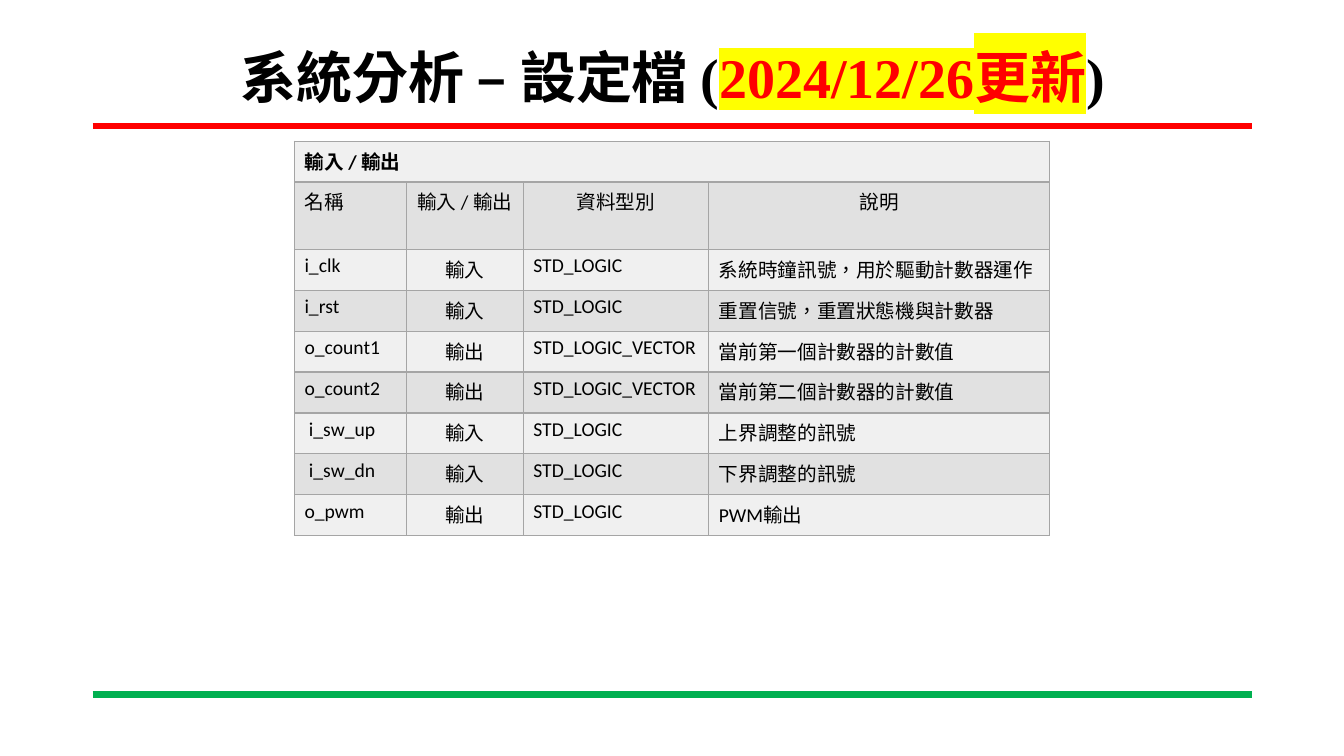
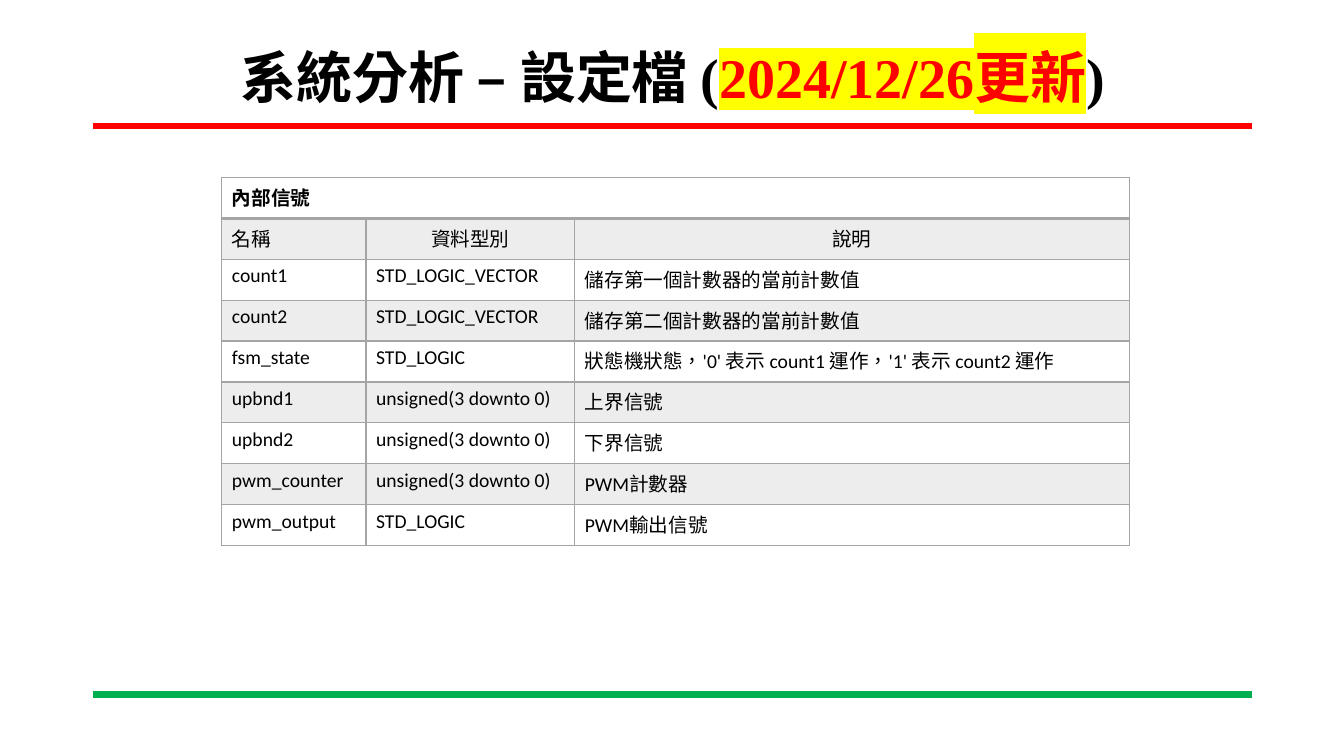
from lxml.etree import SubElement
from pptx import Presentation
from pptx.dml.color import RGBColor
from pptx.enum.lang import MSO_LANGUAGE_ID
from pptx.enum.shapes import MSO_CONNECTOR
from pptx.enum.text import MSO_ANCHOR, MSO_AUTO_SIZE, PP_ALIGN
from pptx.oxml.ns import qn
from pptx.util import Inches, Pt

COLORS = {
    "text": "000000",
    "update": "FF0000",
    "highlight": "FFFF00",
    "top_rule": "FF0000",
    "bottom_rule": "00B050",
    "border": "A5A5A5",
    "light": "F0F0F0",
    "dark": "E1E1E1",
    "pale": "EDEDED",
}
TITLE_FONT, TABLE_FONT = "Times New Roman", "Calibri"
MARGIN, CONTENT_WIDTH = 0.92, 11.5
ROW_HEIGHT = 0.406

# text, colour, highlight
TITLE = [
    ("系統分析 – 設定檔 (", "text", None),
    ("2024/12/26更新", "update", "highlight"),
    (")", "text", None),
]
RULES = [(1.25, "top_rule"), (6.89, "bottom_rule")]

# "bands" holds the fills of even and odd rows; None leaves a row unfilled
TABLES = [
    {
        "left": 2.92, "top": 1.4, "widths": [1.11, 1.16, 1.84, 3.38],
        "bands": ("light", "dark"), "caption_rule": 1, "centered": {1},
        "caption": "輸入 / 輸出",
        "rows": [
            ("名稱", "輸入 / 輸出", "資料型別", "說明"),
            ("i_clk", "輸入", "STD_LOGIC", "系統時鐘訊號，用於驅動計數器運作"),
            ("i_rst", "輸入", "STD_LOGIC", "重置信號，重置狀態機與計數器"),
            ("o_count1", "輸出", "STD_LOGIC_VECTOR", "當前第一個計數器的計數值"),
            ("o_count2", "輸出", "STD_LOGIC_VECTOR", "當前第二個計數器的計數值"),
            (" i_sw_up", "輸入", "STD_LOGIC", "上界調整的訊號"),
            (" i_sw_dn", "輸入", "STD_LOGIC", "下界調整的訊號"),
            ("o_pwm", "輸出", "STD_LOGIC", "PWM輸出"),
        ],
    },
    {
        "left": 2.2, "top": 1.76, "widths": [1.43, 2.07, 5.5],
        "bands": (None, "pale"), "caption_rule": 2, "centered": set(),
        "caption": "內部信號",
        "rows": [
            ("名稱", "資料型別", "說明"),
            ("count1", "STD_LOGIC_VECTOR", "儲存第一個計數器的當前計數值"),
            ("count2", "STD_LOGIC_VECTOR", "儲存第二個計數器的當前計數值"),
            ("fsm_state", "STD_LOGIC",
             "狀態機狀態，'0' 表示 count1 運作，'1' 表示 count2 運作"),
            ("upbnd1", "unsigned(3 downto 0)", "上界信號"),
            ("upbnd2", "unsigned(3 downto 0)", "下界信號"),
            ("pwm_counter", "unsigned(3 downto 0)", "PWM計數器"),
            ("pwm_output", "STD_LOGIC", "PWM輸出信號"),
        ],
    },
]


def rgb(name):
    return RGBColor.from_string(COLORS[name])


def add_span(para, text, font, size, color="text", bold=False):
    span = para.add_run()
    span.text = text
    span.font.size, span.font.bold = Pt(size), bold
    span.font.color.rgb = rgb(color)
    span.font.name = font
    span.font.language_id = MSO_LANGUAGE_ID.TRADITIONAL_CHINESE
    return span


def highlight_span(span, color):
    properties = span._r.get_or_add_rPr()
    mark = SubElement(properties, qn("a:highlight"))
    SubElement(mark, qn("a:srgbClr"), val=COLORS[color])
    properties.find(qn("a:latin")).addprevious(mark)


def set_up_layout(layout, slide):
    """Place the title and move the two rules, drawn on the slide, to its layout."""
    title = layout.placeholders[0]
    title.left, title.top = Inches(MARGIN), Inches(0.4)
    title.width, title.height = Inches(CONTENT_WIDTH), Inches(0.79)
    for top, color in RULES:
        rule = slide.shapes.add_connector(
            MSO_CONNECTOR.STRAIGHT, Inches(MARGIN), Inches(top),
            Inches(MARGIN + CONTENT_WIDTH), Inches(top))
        rule.line.color.rgb, rule.line.width = rgb(color), Pt(4.5)
        SubElement(rule.element.spPr, qn("a:effectLst"))
        layout.shapes.element.append(rule.element)


def fill_title(slide):
    frame = slide.shapes.title.text_frame
    frame.vertical_anchor = MSO_ANCHOR.MIDDLE
    frame.word_wrap, frame.auto_size = True, MSO_AUTO_SIZE.NONE
    para = frame.paragraphs[0]
    para.alignment, para.line_spacing = PP_ALIGN.CENTER, 0.9
    for text, color, highlight in TITLE:
        span = add_span(para, text, TITLE_FONT, 40, color, True)
        if highlight:
            highlight_span(span, highlight)


def style_cell(cell, band, bottom, top):
    properties = cell._tc.get_or_add_tcPr()
    for side, width in (("L", 1), ("R", 1), ("T", top), ("B", bottom)):
        border = SubElement(properties, qn(f"a:ln{side}"), w=str(Pt(width)))
        fill = SubElement(border, qn("a:solidFill"))
        SubElement(fill, qn("a:srgbClr"), val=COLORS["border"])
    if band:
        cell.fill.solid()
        cell.fill.fore_color.rgb = rgb(band)
    else:
        cell.fill.background()


def add_signal_table(slide, data):
    widths = data["widths"]
    rows = [(data["caption"],) + ("",) * (len(widths) - 1)] + data["rows"]
    table = slide.shapes.add_table(
        len(rows), len(widths), Inches(data["left"]), Inches(data["top"]),
        Inches(sum(widths)), Inches(ROW_HEIGHT * len(rows))).table
    table.first_row = table.horz_banding = False
    for column, width in zip(table.columns, widths):
        column.width = Inches(width)
    for row_index, texts in enumerate(rows):
        table.rows[row_index].height = Inches(ROW_HEIGHT)
        bottom = data["caption_rule"] if row_index == 0 else 1
        top = data["caption_rule"] if row_index == 1 else 1
        for column_index, text in enumerate(texts):
            cell = table.cell(row_index, column_index)
            style_cell(cell, data["bands"][row_index % 2], bottom, top)
            para = cell.text_frame.paragraphs[0]
            is_heading = row_index == 1 and column_index > 0
            if is_heading or (row_index > 1 and column_index in data["centered"]):
                para.alignment = PP_ALIGN.CENTER
            if text:
                add_span(para, text, TABLE_FONT, 14, bold=row_index == 0)
    table.cell(0, 0).merge(table.cell(0, len(widths) - 1))


def main():
    deck = Presentation()
    deck.slide_width, deck.slide_height = Inches(13.33), Inches(7.5)
    layout = deck.slide_layouts.get_by_name("Title Only")
    pages = [deck.slides.add_slide(layout) for _ in TABLES]
    set_up_layout(layout, pages[0])
    for page, data in zip(pages, TABLES):
        fill_title(page)
        add_signal_table(page, data)
    deck.save("out.pptx")


if __name__ == "__main__":
    main()
